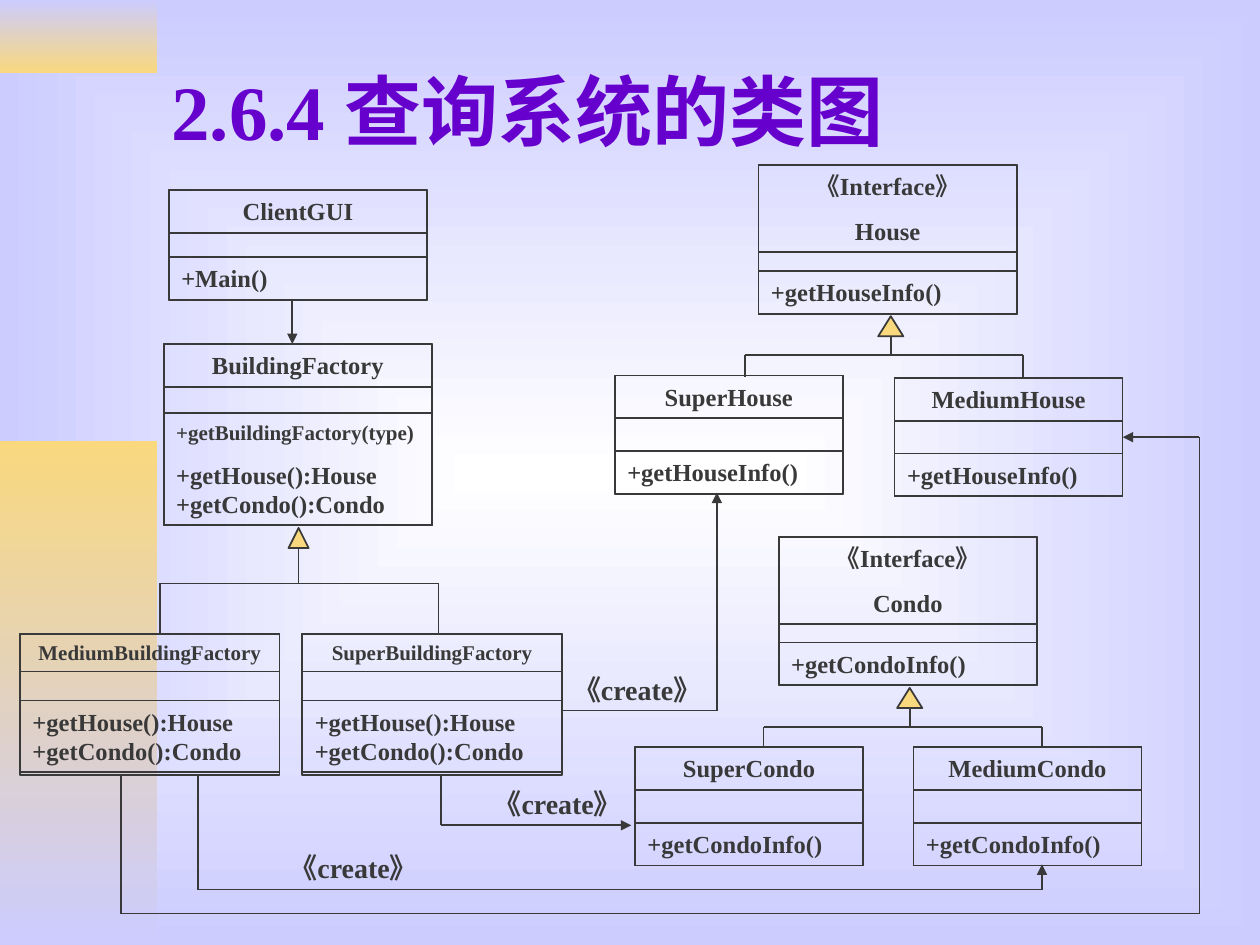
from dataclasses import dataclass

from lxml import etree
from pptx import Presentation
from pptx.dml.color import RGBColor
from pptx.enum.shapes import MSO_CONNECTOR, MSO_SHAPE
from pptx.enum.text import MSO_ANCHOR, MSO_AUTO_SIZE, PP_ALIGN
from pptx.oxml.ns import qn
from pptx.util import Inches, Pt

RECT = MSO_SHAPE.RECTANGLE
TRIANGLE = MSO_SHAPE.FLOWCHART_EXTRACT
STRAIGHT = MSO_CONNECTOR.STRAIGHT
TOP, MIDDLE = MSO_ANCHOR.TOP, MSO_ANCHOR.MIDDLE
GROW = MSO_AUTO_SIZE.SHAPE_TO_FIT_TEXT
LEFT, CENTER = PP_ALIGN.LEFT, PP_ALIGN.CENTER


@dataclass(frozen=True)
class Theme:
    font: str = "Times New Roman"
    ink: RGBColor = RGBColor(0x39, 0x39, 0x39)
    title: RGBColor = RGBColor(0x66, 0x00, 0xCC)
    gold: RGBColor = RGBColor(0xF9, 0xD8, 0x7E)
    lavender: RGBColor = RGBColor(0xCC, 0xCC, 0xFF)
    white: RGBColor = RGBColor(0xFF, 0xFF, 0xFF)
    title_size: int = 44
    label_size: int = 16
    body_size: int = 14
    small_size: int = 12
    line: float = 1


T = Theme()
ROW = 0.34  # height of a one-line compartment


def style(font, size, color):
    font.name, font.size, font.bold = T.font, Pt(size), True
    font.color.rgb = color


def set_gradient(fill, first, last):
    fill.gradient()
    for stop, color, position in zip(fill.gradient_stops, (first, last), (0, 1)):
        stop.color.rgb = color
        stop.position = position


def add_background(slide):
    set_gradient(slide.background.fill, T.white, T.lavender)
    grad = next(slide.element.iter(qn("a:gradFill")))
    grad.remove(grad.find(qn("a:lin")))
    radial = etree.SubElement(grad, qn("a:path"), path="rect")
    etree.SubElement(radial, qn("a:fillToRect"), l="50000", t="50000", r="50000", b="50000")


def add_band(slide, top, height, first, last):
    sp = slide.shapes.add_shape(RECT, 0, Inches(top), Inches(1.25), Inches(height))
    sp.shadow.inherit = False
    set_gradient(sp.fill, first, last)
    sp.fill.gradient_angle = 270
    sp.line.fill.background()


def add_title(slide, text):
    sp = slide.shapes.title
    sp.left, sp.top, sp.width, sp.height = map(Inches, (1.26, 0.21, 8.5, 1.32))
    tf = sp.text_frame
    tf.text = text
    tf.vertical_anchor = MIDDLE
    tf.word_wrap = True
    p = tf.paragraphs[0]
    p.alignment = LEFT
    style(p.runs[0].font, T.title_size, T.title)


def add_outline(slide, shape, left, top, width, height, fill=None):
    sp = slide.shapes.add_shape(shape, *map(Inches, (left, top, width, height)))
    sp.shadow.inherit = False
    if fill is None:
        sp.fill.background()
    else:
        sp.fill.solid()
        sp.fill.fore_color.rgb = fill
    sp.line.color.rgb = T.ink
    sp.line.width = Pt(T.line)
    return sp


def write(sp, lines, align=LEFT):
    """Fill a shape with (text, size) paragraphs."""
    tf = sp.text_frame
    tf.word_wrap = True
    tf.auto_size = GROW
    tf.vertical_anchor = TOP
    for i, (text, size) in enumerate(lines):
        p = tf.add_paragraph() if i else tf.paragraphs[0]
        p.text = text
        p.alignment = align
        if i:
            p.space_before = Pt(8.8)
        style(p.runs[0].font, size, T.ink)


def add_class(slide, box, names, operations, head=ROW, foot=ROW, gap=0,
              name_size=T.body_size):
    """Class frame with a name compartment on top and operations at the foot."""
    left, top, width, height = box
    add_outline(slide, RECT, *box)
    write(add_outline(slide, RECT, left, top, width, head),
          [(name, name_size) for name in names], CENTER)
    write(add_outline(slide, RECT, left, top + height - foot - gap, width, foot), operations)


def add_path(slide, *points, arrow=False):
    """Straight segments through the points, optionally ending in an arrowhead."""
    for start, end in zip(points, points[1:]):
        line = slide.shapes.add_connector(STRAIGHT, *map(Inches, start + end))
        line.line.color.rgb = T.ink
        line.line.width = Pt(T.line)
        if arrow and end == points[-1]:
            etree.SubElement(line.line._get_or_add_ln(), qn("a:tailEnd"), type="triangle")
        etree.SubElement(line._element.spPr, qn("a:effectLst"))


def add_inheritance(slide, x, top, width, bar, children, child_top):
    """Triangle below the parent and a fork down to both children."""
    height = 0.16
    add_outline(slide, TRIANGLE, x - width / 2, top, width, height, T.gold)
    add_path(slide, (x, top + height), (x, bar))
    first, last = children
    add_path(slide, (first, child_top), (first, bar), (last, bar), (last, child_top))


def add_label(slide, left, top, width, height):
    sp = slide.shapes.add_textbox(*map(Inches, (left, top, width, height)))
    write(sp, [("《create》", T.label_size)])


def main():
    prs = Presentation()
    prs.slide_width, prs.slide_height = Inches(10), Inches(7.5)
    slide = prs.slides.add_slide(prs.slide_layouts[5])

    # Backdrop and title
    add_background(slide)
    add_band(slide, 0, 0.58, T.lavender, T.gold)
    add_band(slide, 3.5, 4, T.gold, T.lavender)
    add_title(slide, "2.6.4 查询系统的类图")

    # Client and factories
    body, small = T.body_size, T.small_size
    getters = ("+getHouse():House +getCondo():Condo", body)
    add_class(slide, (1.34, 1.51, 2.05, 0.87), ["ClientGUI"], [("+Main()", body)])
    add_class(slide, (1.3, 2.73, 2.13, 1.44), ["BuildingFactory"],
              [("+getBuildingFactory(type)", small), getters], foot=0.89)
    for name, left in (("MediumBuildingFactory", 0.16), ("SuperBuildingFactory", 2.4)):
        add_class(slide, (left, 5.03, 2.06, 1.12), [name], [getters],
                  head=0.3, foot=0.57, gap=0.02, name_size=small)

    # Interfaces and the buildings that implement them
    for kind, left, top in (("House", 6.02, 1.31), ("Condo", 6.18, 4.26)):
        add_class(slide, (left, top, 2.05, 1.18), ["《Interface》", kind],
                  [(f"+get{kind}Info()", body)], head=0.69)
    for name, left, top in (("SuperHouse", 4.88, 2.98), ("MediumHouse", 7.1, 3),
                            ("SuperCondo", 5.04, 5.93), ("MediumCondo", 7.25, 5.93)):
        add_class(slide, (left, top, 1.81, 0.94), [name], [(f"+get{name[-5:]}Info()", body)])

    # Inheritance
    add_inheritance(slide, 2.37, 4.19, 0.16, 4.63, (1.27, 3.48), 5.03)
    add_inheritance(slide, 7.07, 2.51, 0.2, 2.82, (5.91, 8.12), 2.99)
    add_inheritance(slide, 7.22, 5.46, 0.2, 5.77, (6.06, 8.27), 5.93)

    # Use and creation
    add_path(slide, (2.32, 2.37), (2.32, 2.73), arrow=True)
    add_path(slide, (4.47, 5.64), (5.69, 5.64), (5.69, 3.91), arrow=True)
    add_path(slide, (3.5, 6.15), (3.5, 6.55), (5.01, 6.55), arrow=True)
    add_path(slide, (1.57, 6.15), (1.57, 7.06), (8.27, 7.06), (8.27, 6.86), arrow=True)
    add_path(slide, (0.96, 6.15), (0.96, 7.25), (9.52, 7.25), (9.52, 3.47), (8.91, 3.47),
             arrow=True)
    add_label(slide, 4.45, 5.29, 1.26, 0.64)
    add_label(slide, 3.82, 6.19, 1.26, 0.64)
    add_label(slide, 2.2, 6.7, 1.63, 0.37)

    prs.save("out.pptx")


if __name__ == "__main__":
    main()
